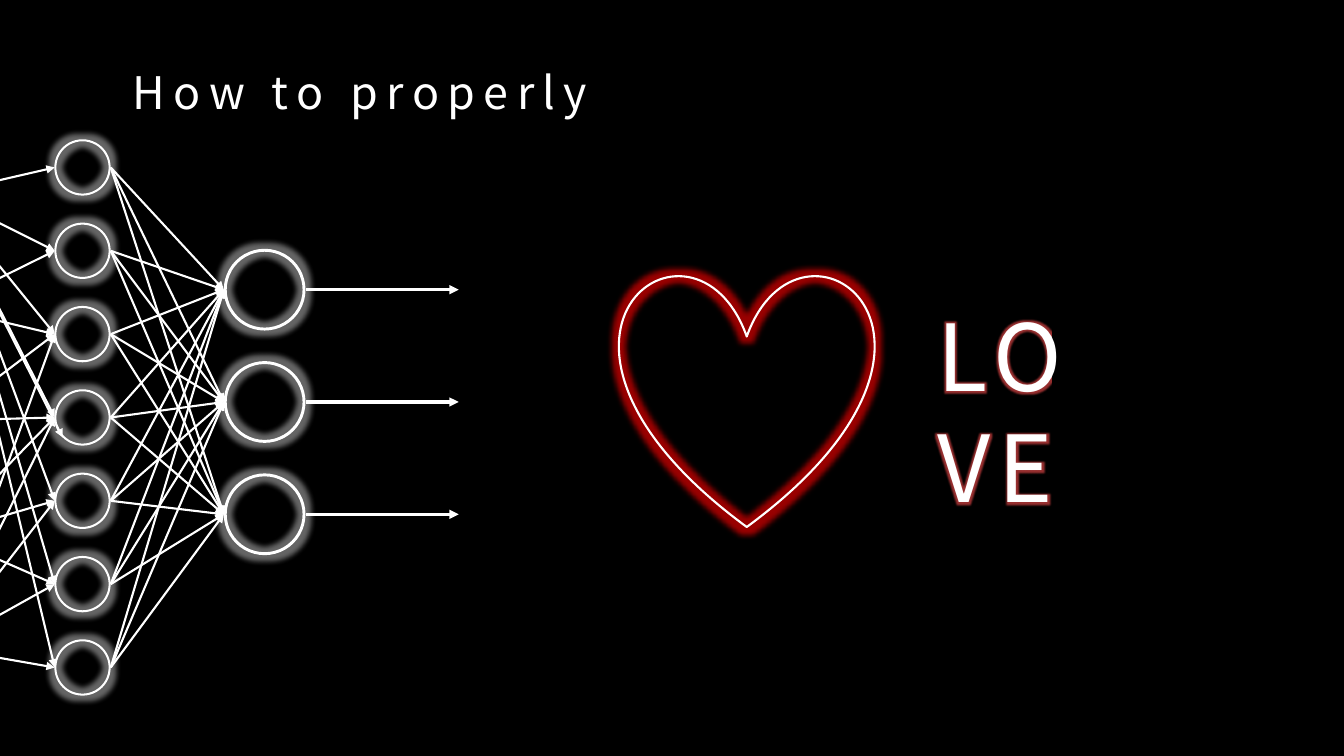
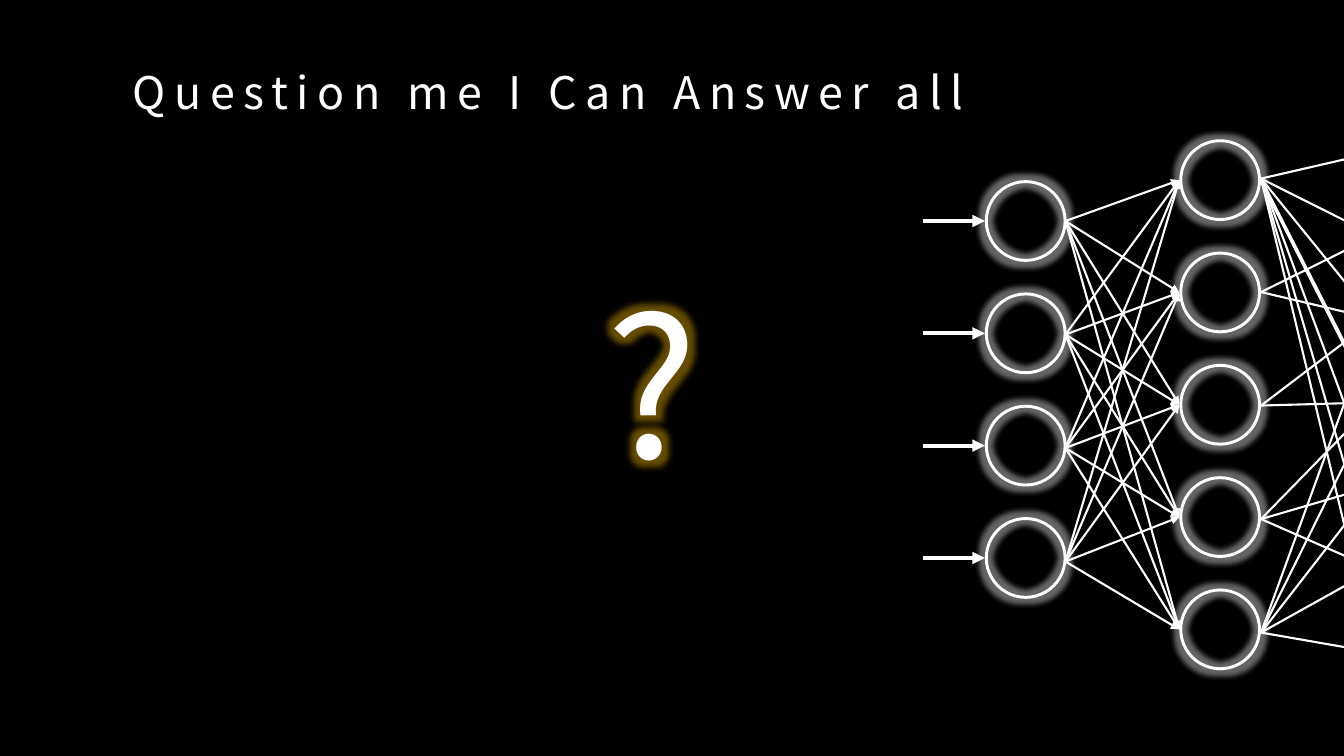
from itertools import product

from lxml.etree import SubElement
from pptx import Presentation
from pptx.dml.color import RGBColor
from pptx.enum.shapes import MSO_CONNECTOR, MSO_SHAPE
from pptx.enum.text import MSO_AUTO_SIZE
from pptx.oxml.ns import qn
from pptx.util import Cm, Pt

BLACK = RGBColor(0x00, 0x00, 0x00)
WHITE = RGBColor(0xFF, 0xFF, 0xFF)
RED = RGBColor(0xFF, 0x00, 0x00)
ROSE = RGBColor(0xFF, 0x50, 0x50)
AMBER = RGBColor(0xFF, 0xC0, 0x00)
FONT = "Noto Sans CJK SC"

# Network measures in cm
SMALL, LARGE = 1.42, 2.06
SMALL_STEP, LARGE_STEP, START_STEP = 2.1, 2.83, 2.86


def add_glow(parent, color, radius, opacity):
    effects = SubElement(parent, qn("a:effectLst"))
    glow = SubElement(effects, qn("a:glow"), rad=str(Pt(radius)))
    clr = SubElement(glow, qn("a:srgbClr"), val=str(color))
    SubElement(clr, qn("a:alpha"), val=str(opacity * 1000))


def add_text(s, text, x, y, w, h, size, spacing=0, wrap=True, glow=None):
    tf = s.shapes.add_textbox(Cm(x), Cm(y), Cm(w), Cm(h)).text_frame
    tf.word_wrap = wrap
    tf.auto_size = MSO_AUTO_SIZE.SHAPE_TO_FIT_TEXT
    for i, line in enumerate(text.split("\n")):
        p = tf.paragraphs[0] if i == 0 else tf.add_paragraph()
        r = p.add_run()
        r.text = line
        r.font.size = Pt(size)
        r.font.color.rgb = WHITE
        rPr = r.font._element
        if spacing:
            rPr.set("spc", str(spacing * 100))
        if glow:
            add_glow(rPr, *glow)
        r.font.name = FONT


prs = Presentation()
prs.slide_width, prs.slide_height = Cm(33.87), Cm(19.05)

# Slides with shared background and title style
slides = []
for title, width in [("How to properly", 12.52),
                     ("Question me I Can Answer all", 22.83)]:
    s = prs.slides.add_slide(prs.slide_layouts[6])
    s.background.fill.solid()
    s.background.fill.fore_color.rgb = BLACK
    add_text(s, title, 3.1, 1.5, width, 1.63, size=32, spacing=6)
    slides.append(s)
love, question = slides

# Neurons: slide, left, first top, diameter, step, count
layers = [
    (love, 1.37, 3.51, SMALL, SMALL_STEP, 7),
    (love, 5.64, 6.27, LARGE, LARGE_STEP, 3),
    (question, 24.82, 4.54, LARGE, LARGE_STEP, 4),
    (question, 29.72, 3.51, LARGE, LARGE_STEP, 5),
]
for s, x, top, size, step, count in layers:
    for i in range(count):
        sp = s.shapes.add_shape(MSO_SHAPE.DONUT, Cm(x), Cm(top + i * step),
                                Cm(size), Cm(size))
        sp.adjustments[0] = 0.036
        sp.fill.solid()
        sp.fill.fore_color.rgb = WHITE
        sp.line.fill.background()
        add_glow(sp._element.spPr, WHITE, 8, 40)

# Arrows: slide, start x, start y, end x, end y, line width
arrows = []

# Links that run across the edge between the two slides
targets = {0: range(7), 1: (1, 2), 2: (2, 3), 3: (3, 4, 5), 4: range(2, 7)}
crossing = [(31.78, 4.5 + i * START_STEP, 34.65, 3.84 + j * SMALL_STEP)
            for i, ends in targets.items() for j in ends]
crossing.append((31.75, 4.52, 34.85, 10.64))
for s, dx, dy in [(love, -33.27, 0.38), (question, 0, 0)]:
    for x1, y1, x2, y2 in crossing:
        arrows.append((s, x1 + dx, y1 + dy, x2 + dx, y2 + dy, 1.5))

# Fully linked layers
for i, j in product(range(7), range(3)):
    arrows.append((love, 2.79, 4.22 + i * SMALL_STEP,
                   5.64, 7.3 + j * LARGE_STEP, 1.5))
for i, j in product(range(4), range(5)):
    arrows.append((question, 26.85, 5.57 + i * START_STEP,
                   29.72, 4.54 + j * LARGE_STEP, 1.5))

# Network outputs and inputs
for s, x1, x2, y, count, weight in [(love, 7.7, 11.56, 7.3, 3, 2.25),
                                    (question, 23.27, 24.82, 5.57, 4, 3)]:
    for i in range(count):
        level = y + i * LARGE_STEP
        arrows.append((s, x1, level, x2, level, weight))

for s, x1, y1, x2, y2, weight in arrows:
    cxn = s.shapes.add_connector(MSO_CONNECTOR.STRAIGHT,
                                 Cm(x1), Cm(y1), Cm(x2), Cm(y2))
    cxn.line.color.rgb = WHITE
    cxn.line.width = Pt(weight)
    SubElement(cxn.line._get_or_add_ln(), qn("a:tailEnd"), type="triangle")
    SubElement(cxn._element.spPr, qn("a:effectLst"))

# Heart and word
heart = love.shapes.add_shape(MSO_SHAPE.HEART, Cm(15.62), Cm(6.88),
                              Cm(6.4), Cm(6.4))
heart.fill.background()
heart.line.color.rgb = WHITE
heart.line.width = Pt(1.5)
add_glow(heart._element.spPr, RED, 8, 60)
add_text(love, "LO\nVE", 23.37, 7.42, 3.81, 5.89, size=66, spacing=6,
         wrap=False, glow=(ROSE, 5, 60))

# Question mark
add_text(question, "?", 15.04, 6.55, 5.61, 6.15, size=138,
         glow=(AMBER, 11, 40))

prs.save("out.pptx")
